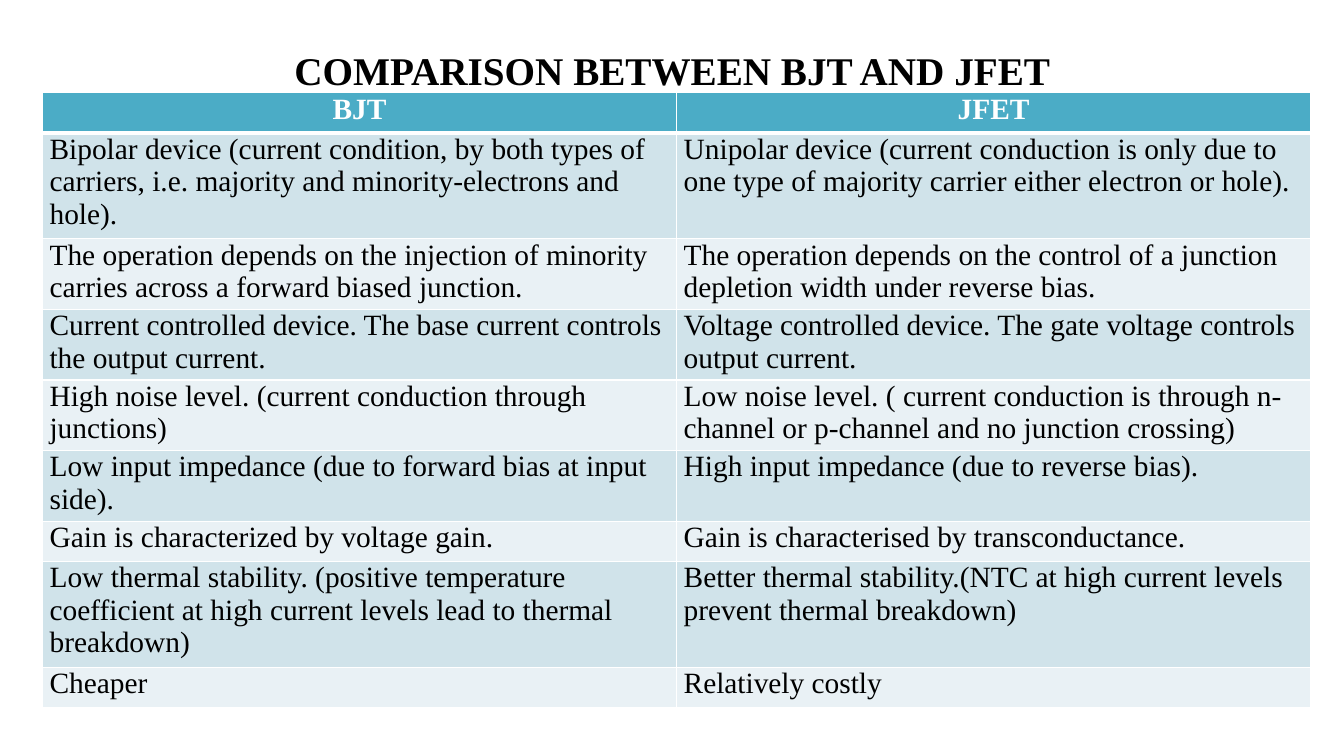
from pptx import Presentation
from pptx import util as u
from pptx.dml.color import RGBColor
from pptx.enum import text
from pptx.oxml import parse_xml
from pptx.oxml.ns import nsdecls

TITLE = "COMPARISON BETWEEN BJT AND JFET"
ROWS = [
    ("BJT", "JFET"),
    ("Bipolar device (current condition, by both types of carriers, i.e. majority and minority-electrons and hole).",
     "Unipolar device (current conduction is only due to one type of majority carrier either electron or hole)."),
    ("The operation depends on the injection of minority carries across a forward biased junction.",
     "The operation depends on the control of a junction depletion width under reverse bias."),
    ("Current controlled device. The base current controls the output current.",
     "Voltage controlled device. The gate voltage controls output current."),
    ("High noise level. (current conduction through junctions)",
     "Low noise level. ( current conduction is through n-channel or p-channel and no junction crossing)"),
    ("Low input impedance (due to forward bias at input side).",
     "High input impedance (due to reverse bias)."),
    ("Gain is characterized by voltage gain.",
     "Gain is characterised by transconductance."),
    ("Low thermal stability. (positive temperature coefficient at high current levels lead to thermal breakdown)",
     "Better thermal stability.(NTC at high current levels prevent thermal breakdown)"),
    ("Cheaper", "Relatively costly"),
]
COLORS = {"head": "4BACC6", "odd": "D0E3EA", "even": "E9F1F5",
          "ink": "000000", "white": "FFFFFF"}
FONT = "Times New Roman"
COL_W, ROW_H = u.Cm(15.98), u.Cm(1.01)


def write(tf, words, size, color="ink", bold=False, center=False, spacing=None):
    p = tf.paragraphs[0]
    p.alignment = text.PP_ALIGN.CENTER if center else text.PP_ALIGN.LEFT
    p.line_spacing = spacing
    r = p.add_run()
    r.text = words
    r.font.name, r.font.size, r.font.bold = FONT, u.Pt(size), bold
    r.font.color.rgb = RGBColor.from_string(COLORS[color])


def add_borders(cell, bottom):
    """White rules on all four sides; bottom is the lower rule's width in points."""
    tcPr = cell._tc.get_or_add_tcPr()
    widths = {"lnL": 1, "lnR": 1, "lnT": 1, "lnB": bottom}
    for i, (tag, width) in enumerate(widths.items()):
        tcPr.insert(i, parse_xml(
            f'<a:{tag} {nsdecls("a")} w="{u.Pt(width)}"><a:solidFill>'
            f'<a:srgbClr val="{COLORS["white"]}"/></a:solidFill></a:{tag}>'))


def add_title(s):
    tf = s.shapes.add_textbox(u.Cm(1.7), u.Cm(0.76), u.Cm(30.48), u.Cm(1.98)).text_frame
    tf.word_wrap = True
    tf.vertical_anchor = text.MSO_ANCHOR.MIDDLE
    write(tf, TITLE, 28, bold=True, center=True)


def add_comparison(s):
    table = s.shapes.add_table(len(ROWS), 2, u.Cm(1.07), u.Cm(2.34),
                               2 * COL_W, len(ROWS) * ROW_H).table
    for i, row in enumerate(ROWS):
        table.rows[i].height = ROW_H
        head = i == 0
        fill = "head" if head else "odd" if i % 2 else "even"
        for j, words in enumerate(row):
            cell = table.cell(i, j)
            cell.margin_left = cell.margin_right = u.Cm(0.18)
            cell.margin_top = cell.margin_bottom = 0
            cell.fill.solid()
            cell.fill.fore_color.rgb = RGBColor.from_string(COLORS[fill])
            add_borders(cell, bottom=3 if head else 1)
            write(cell.text_frame, words, 21, color="white" if head else "ink",
                  bold=head, center=head, spacing=1.0)


def main():
    prs = Presentation()
    prs.slide_width, prs.slide_height = u.Cm(33.87), u.Cm(19.05)
    s = prs.slides.add_slide(prs.slide_layouts[6])
    add_title(s)
    add_comparison(s)
    prs.save("out.pptx")


if __name__ == "__main__":
    main()
